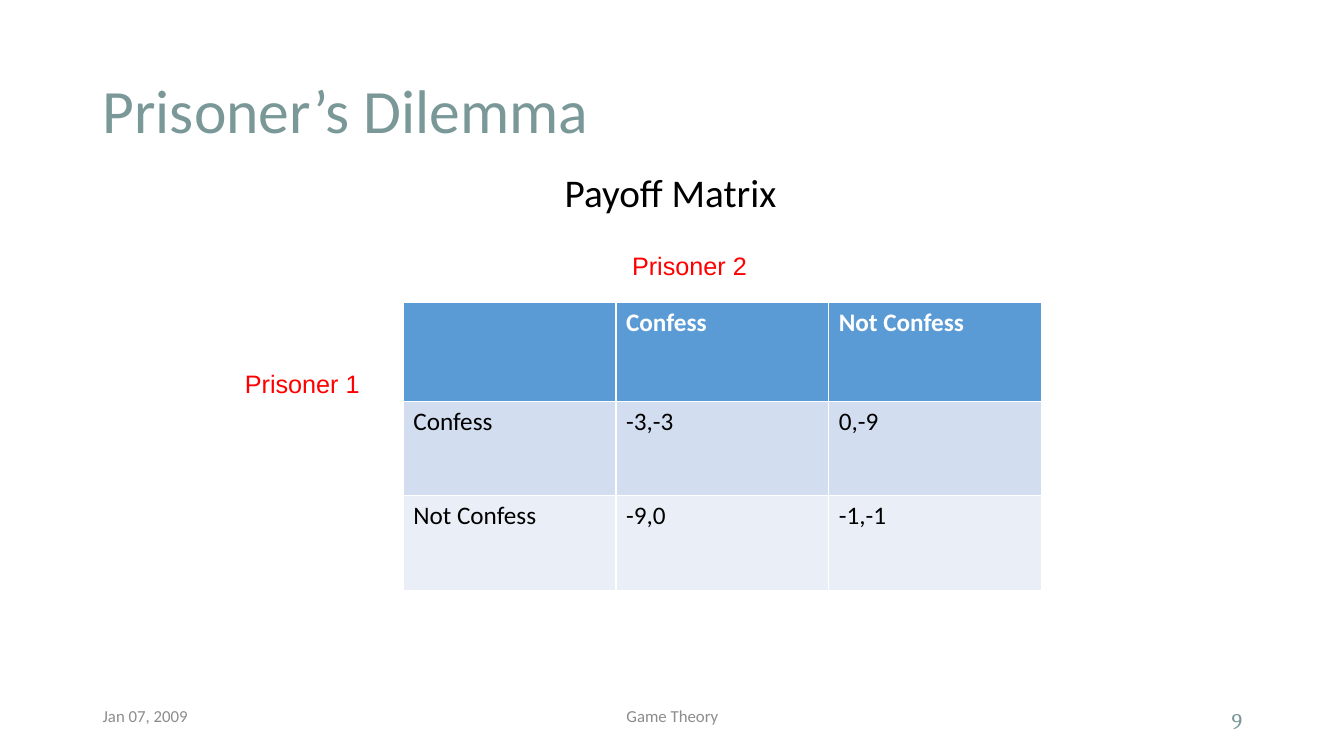
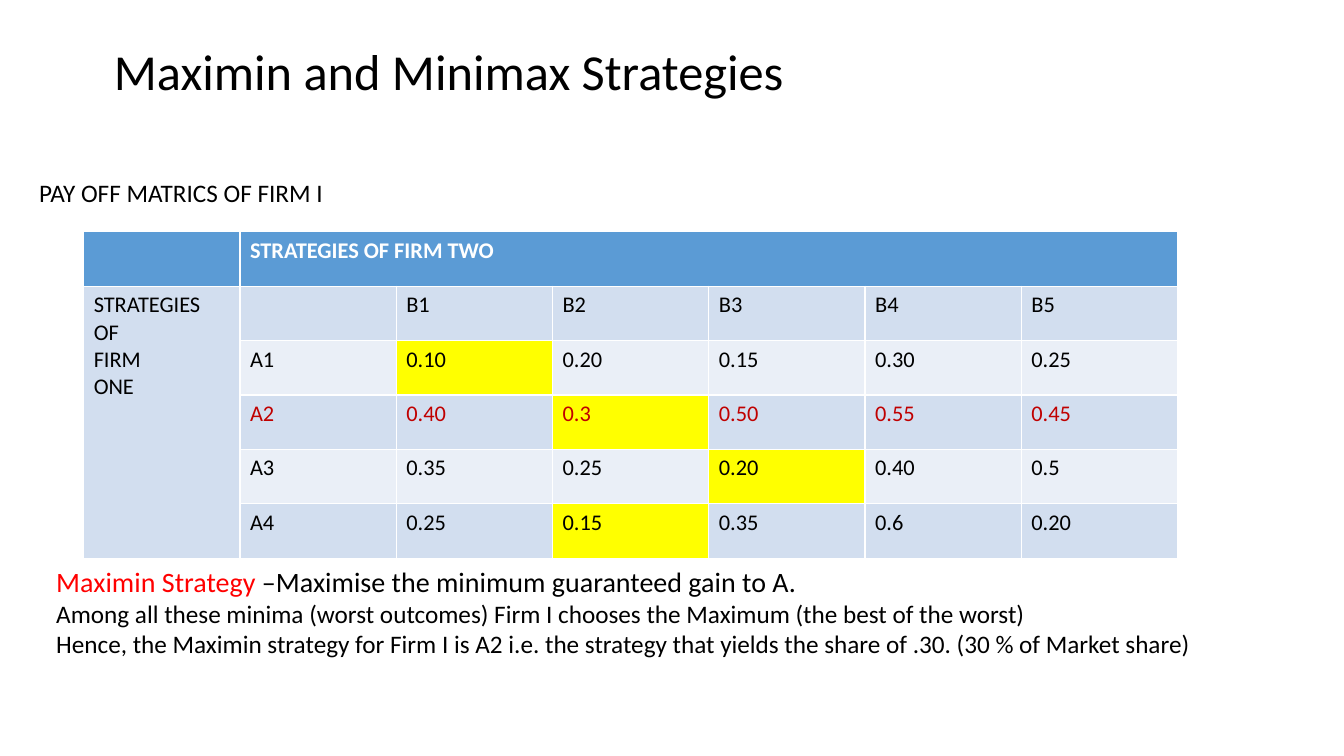
from pptx import Presentation
from pptx.dml.color import RGBColor
from pptx.enum.text import MSO_ANCHOR, PP_ALIGN
from pptx.util import Inches, Pt

BLACK = RGBColor(0x00, 0x00, 0x00)
WHITE = RGBColor(0xFF, 0xFF, 0xFF)
RED = RGBColor(0xFF, 0x00, 0x00)
DARK_RED = RGBColor(0xC0, 0x00, 0x00)
TEAL = RGBColor(0x7B, 0x98, 0x99)
GRAY = RGBColor(0x8C, 0x8C, 0x8C)
BLUE = RGBColor(0x5B, 0x9B, 0xD5)
BANDS = [RGBColor(0xEA, 0xEF, 0xF7), RGBColor(0xD2, 0xDE, 0xEF)]
YELLOW = RGBColor(0xFF, 0xFF, 0x00)
LEFT, CENTER, RIGHT = PP_ALIGN.LEFT, PP_ALIGN.CENTER, PP_ALIGN.RIGHT
TOP, MIDDLE = MSO_ANCHOR.TOP, MSO_ANCHOR.MIDDLE


def write(tf, text, size=18, color=BLACK, font="Calibri", bold=False,
          align=LEFT, spacing=None, before=None, same_line=False):
    for line in text.split("\n"):
        p = tf.paragraphs[-1]
        if p.runs and not same_line:
            p = tf.add_paragraph()
        p.alignment = align
        if spacing:
            p.line_spacing = spacing
        if before:
            p.space_before = Pt(before)
        r = p.add_run()
        r.text = line
        r.font.size = Pt(size)
        r.font.name = font
        r.font.bold = bold
        r.font.color.rgb = color


def add_box(s, x, y, w, h, text, anchor=TOP, wrap=True, **fmt):
    tf = s.shapes.add_textbox(Inches(x), Inches(y), Inches(w), Inches(h)).text_frame
    tf.word_wrap = wrap
    tf.vertical_anchor = anchor
    write(tf, text, **fmt)
    return tf


prs = Presentation()
prs.slide_width = Inches(13.33)
prs.slide_height = Inches(7.5)
blank = prs.slide_layouts[6]
dilemma = prs.slides.add_slide(blank)
maximin = prs.slides.add_slide(blank)

title_style = {"anchor": MIDDLE, "spacing": 0.9}
footer_style = {"size": 12, "color": GRAY}
player_style = {"wrap": False, "color": RED, "font": "Arial"}

add_box(dilemma, 0.92, 0.4, 11.5, 1.45, "Prisoner’s Dilemma", size=44, color=TEAL, **title_style)
add_box(dilemma, 0.92, 6.95, 3, 0.4, "Jan 07, 2009", **footer_style)
add_box(dilemma, 4.42, 6.95, 4.5, 0.4, "Game Theory", align=CENTER, **footer_style)
add_box(dilemma, 9.42, 6.95, 3, 0.4, "9", anchor=MIDDLE, size=16, color=TEAL,
        font="Cambria", align=RIGHT)
add_box(dilemma, 2, 1.67, 9.3, 0.6, "Payoff Matrix", size=28, align=CENTER,
        spacing=0.9, before=10)
add_box(dilemma, 2.33, 3.6, 1.35, 0.4, "Prisoner 1", **player_style)
add_box(dilemma, 6.17, 2.43, 1.35, 0.4, "Prisoner 2", **player_style)

add_box(maximin, 1.03, 0.4, 11.42, 0.68, "Maximin and Minimax Strategies", size=36, **title_style)
add_box(maximin, 0.29, 1.71, 11.89, 0.4, "PAY OFF MATRICS OF FIRM I")
tf = add_box(maximin, 0.46, 5.55, 12.24, 1.04, "Maximin Strategy ", size=20, color=RED)
write(tf, "–Maximise the minimum guaranteed gain to A.", size=20, same_line=True)
write(tf, "Among all these minima (worst outcomes) Firm I chooses the Maximum (the best of the worst)\n"
          "Hence, the Maximin strategy for Firm I is A2 i.e. the strategy that yields the share of .30. "
          "(30 % of Market share)")

prisoner_rows = [
    ["", "Confess", "Not Confess"],
    ["Confess", "-3,-3", "0,-9"],
    ["Not Confess", "-9,0", "-1,-1"],
]
firm_rows = [
    ["", "STRATEGIES OF FIRM TWO", "", "", "", "", ""],
    ["STRATEGIES\nOF\nFIRM\nONE", "", "B1", "B2", "B3", "B4", "B5"],
    ["", "A1", "0.10", "0.20", "0.15", "0.30", "0.25"],
    ["", "A2", "0.40", "0.3", "0.50", "0.55", "0.45"],
    ["", "A3", "0.35", "0.25", "0.20", "0.40", "0.5"],
    ["", "A4", "0.25", "0.15", "0.35", "0.6", "0.20"],
]
firm_merges = [((0, 1), (0, 6)), ((1, 0), (5, 0))]
row_minima = [(2, 2), (3, 3), (4, 4), (5, 3)]
maximin_row = 3

tables = [
    (dilemma, 4, 3, 2.11, [0.98, 0.94, 0.94], 18, prisoner_rows, [], [], None),
    (maximin, 0.83, 2.3, 1.55, [0.54] * 6, 16, firm_rows, firm_merges, row_minima, maximin_row),
]
for s, x, y, col_w, heights, size, rows, merges, minima, red_row in tables:
    cols = len(rows[0])
    table = s.shapes.add_table(len(rows), cols, Inches(x), Inches(y),
                               Inches(col_w * cols), Inches(sum(heights))).table
    for column in table.columns:
        column.width = Inches(col_w)
    for i, row in enumerate(rows):
        table.rows[i].height = Inches(heights[i])
        color = WHITE if i == 0 else DARK_RED if i == red_row else BLACK
        for j, text in enumerate(row):
            cell = table.cell(i, j)
            cell.fill.solid()
            cell.fill.fore_color.rgb = (
                BLUE if i == 0 else YELLOW if (i, j) in minima else BANDS[i % 2])
            if text:
                write(cell.text_frame, text, size=size, color=color, bold=i == 0)
    for first, last in merges:
        table.cell(*first).merge(table.cell(*last))

prs.save("out.pptx")
